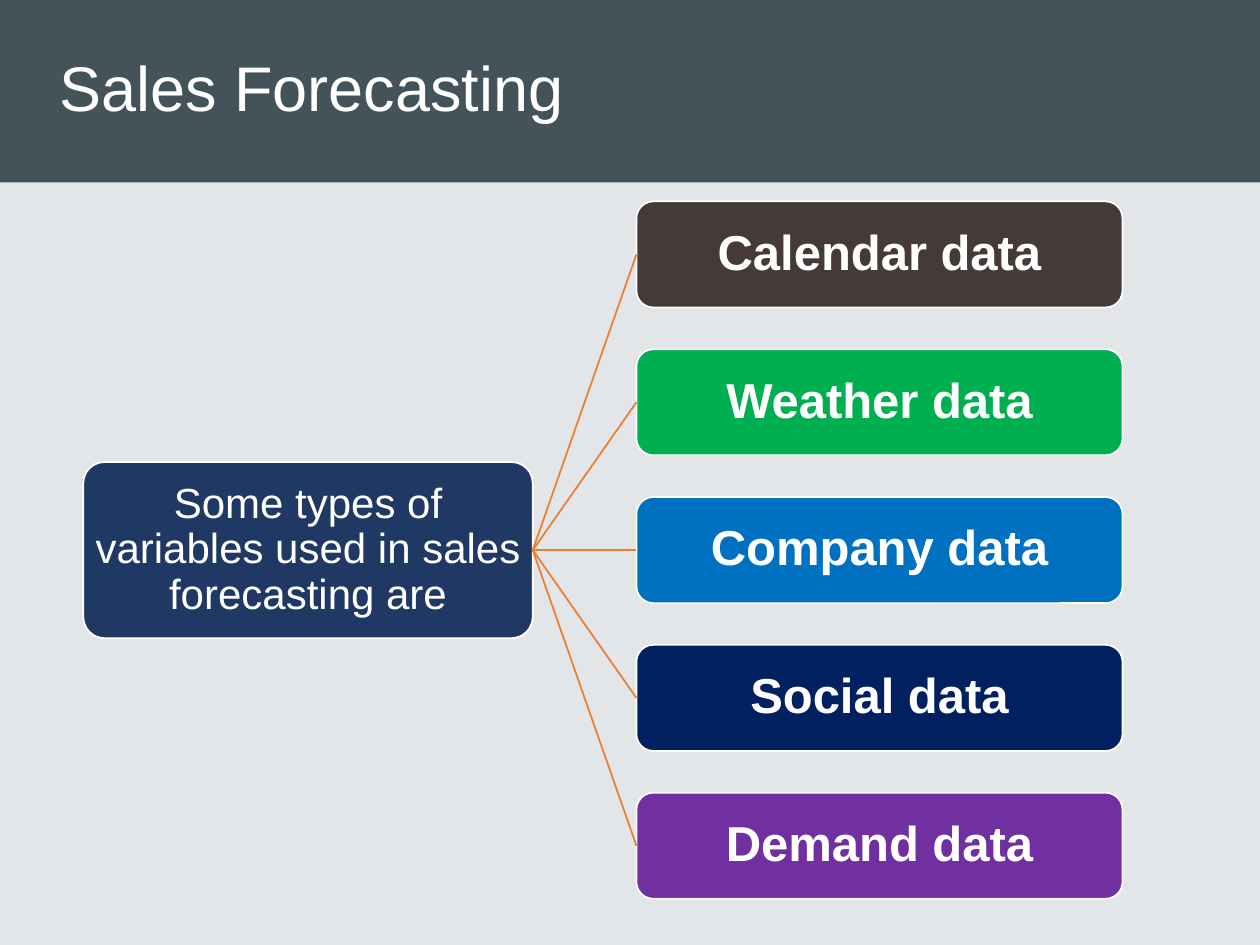
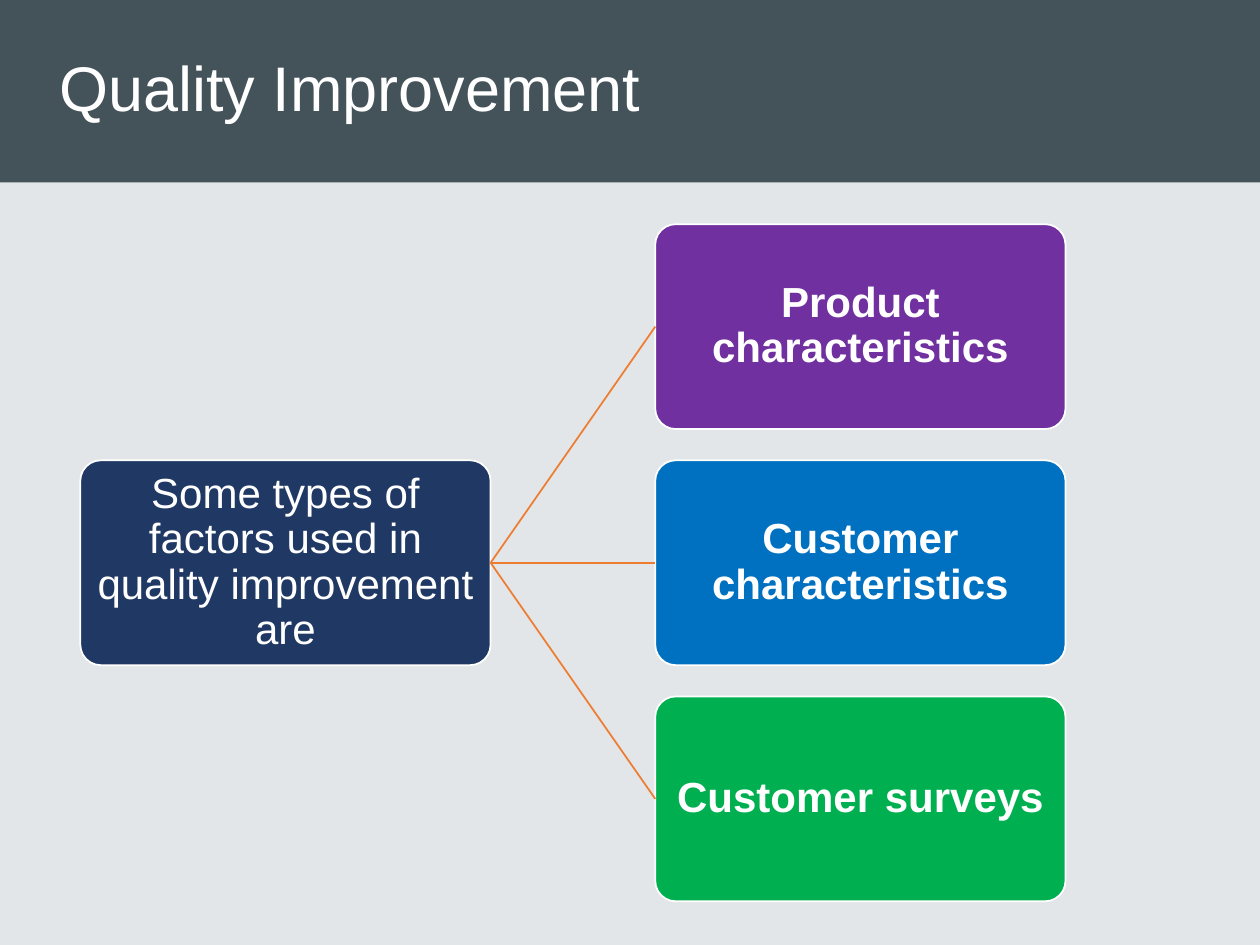
from dataclasses import dataclass

from lxml import etree
from pptx import Presentation
from pptx.dml.color import RGBColor
from pptx.enum.shapes import MSO_CONNECTOR, MSO_SHAPE
from pptx.enum.text import MSO_ANCHOR, MSO_AUTO_SIZE, PP_ALIGN
from pptx.oxml.ns import qn
from pptx.shapes.autoshape import Shape
from pptx.slide import Slide, SlideLayout
from pptx.util import Cm, Pt

RECTANGLE = MSO_SHAPE.RECTANGLE
ROUNDED = MSO_SHAPE.ROUNDED_RECTANGLE
STRAIGHT = MSO_CONNECTOR.STRAIGHT
MIDDLE = MSO_ANCHOR.MIDDLE
NO_FIT = MSO_AUTO_SIZE.NONE
CENTER = PP_ALIGN.CENTER
LEFT = PP_ALIGN.LEFT

FONT = "Arial"
WHITE = "FFFFFF"
BACKGROUND = "E2E6E8"
BAND = "44525A"
NAVY = "203864"
ORANGE = "ED7D31"
BROWN = "453A38"
GREEN = "00B050"
BLUE = "0070C0"
DARK_BLUE = "002060"
PURPLE = "7030A0"

SLIDE_WIDTH = 25.4
SLIDE_HEIGHT = 19.05
BAND_HEIGHT = 3.68
TITLE_LAYOUT = 5
LEFT_SIDE, RIGHT_SIDE = 1, 3


@dataclass(frozen=True)
class BoxStyle:
    left: float
    width: float
    height: float
    corner: float
    text_size: int
    bold: bool


@dataclass(frozen=True)
class Branch:
    text: str
    color: str


@dataclass(frozen=True)
class Hierarchy:
    title: str
    root_text: str
    root_style: BoxStyle
    branch_style: BoxStyle
    first_top: float
    pitch: float
    branches: tuple[Branch, ...]


HIERARCHIES = (
    Hierarchy(
        title="Sales Forecasting",
        root_text="Some types of variables used in sales forecasting are",
        root_style=BoxStyle(1.68, 9.06, 3.55, 0.12, 24, False),
        branch_style=BoxStyle(12.83, 9.8, 2.14, 0.16, 28, True),
        first_top=4.06,
        pitch=2.98,
        branches=(
            Branch("Calendar data", BROWN),
            Branch("Weather data", GREEN),
            Branch("Company data", BLUE),
            Branch("Social data", DARK_BLUE),
            Branch("Demand data", PURPLE),
        ),
    ),
    Hierarchy(
        title="Quality Improvement",
        root_text="Some types of factors used in quality improvement are",
        root_style=BoxStyle(1.62, 8.27, 4.13, 0.1, 24, False),
        branch_style=BoxStyle(13.21, 8.27, 4.13, 0.1, 24, True),
        first_top=4.52,
        pitch=4.76,
        branches=(
            Branch("Product characteristics", PURPLE),
            Branch("Customer characteristics", BLUE),
            Branch("Customer surveys", GREEN),
        ),
    ),
)


def rgb(color: str) -> RGBColor:
    return RGBColor.from_string(color)


def set_attributes(target: object, values: dict) -> None:
    for name, value in values.items():
        setattr(target, name, value)


def write_text(shape: Shape, text: str, size: int, bold: bool, alignment: PP_ALIGN) -> None:
    frame = shape.text_frame
    frame.text = text
    set_attributes(frame, {"word_wrap": True, "auto_size": NO_FIT, "vertical_anchor": MIDDLE})
    paragraph = frame.paragraphs[0]
    set_attributes(paragraph, {"alignment": alignment, "line_spacing": 0.9, "space_before": Pt(0)})
    set_attributes(paragraph.font, {"name": FONT, "size": Pt(size), "bold": bold})
    paragraph.font.color.rgb = rgb(WHITE)


def add_box(slide: Slide, style: BoxStyle, top: float, text: str, color: str) -> Shape:
    box = slide.shapes.add_shape(ROUNDED, Cm(style.left), Cm(top), Cm(style.width), Cm(style.height))
    box.adjustments[0] = style.corner
    box.shadow.inherit = False
    box.fill.solid()
    box.fill.fore_color.rgb = rgb(color)
    box.line.color.rgb = rgb(WHITE)
    box.line.width = Pt(1)
    write_text(box, text, style.text_size, style.bold, CENTER)
    sides = ("left", "top", "right", "bottom")
    set_attributes(box.text_frame, {f"margin_{side}": Cm(0.05) for side in sides})
    return box


def join_boxes(slide: Slide, root: Shape, branch: Shape) -> None:
    connector = slide.shapes.add_connector(STRAIGHT, 0, 0, 0, 0)
    connector.begin_connect(root, RIGHT_SIDE)
    connector.end_connect(branch, LEFT_SIDE)
    connector.line.color.rgb = rgb(ORANGE)
    connector.line.width = Pt(1)
    etree.SubElement(connector._element.spPr, qn("a:effectLst"))


def add_band_to_layout(layout: SlideLayout, slide: Slide) -> None:
    layout.background.fill.solid()
    layout.background.fill.fore_color.rgb = rgb(BACKGROUND)
    band = slide.shapes.add_shape(RECTANGLE, 0, 0, Cm(SLIDE_WIDTH), Cm(BAND_HEIGHT))
    band.shadow.inherit = False
    band.fill.solid()
    band.fill.fore_color.rgb = rgb(BAND)
    band.line.fill.background()
    band._element.nvSpPr.cNvPr.set("id", "20")
    layout.shapes._spTree.insert(2, band._element)


def format_title(slide: Slide, text: str) -> None:
    title = slide.shapes.title
    place = {"left": Cm(0.94), "top": Cm(0), "width": Cm(23.29), "height": Cm(BAND_HEIGHT)}
    set_attributes(title, place)
    write_text(title, text, 36, False, LEFT)


def draw_hierarchy(slide: Slide, hierarchy: Hierarchy) -> None:
    format_title(slide, hierarchy.title)
    root_style, branch_style = hierarchy.root_style, hierarchy.branch_style
    stack_height = hierarchy.pitch * (len(hierarchy.branches) - 1) + branch_style.height
    root_top = hierarchy.first_top + (stack_height - root_style.height) / 2
    root = add_box(slide, root_style, root_top, hierarchy.root_text, NAVY)
    for index, branch in enumerate(hierarchy.branches):
        top = hierarchy.first_top + index * hierarchy.pitch
        box = add_box(slide, branch_style, top, branch.text, branch.color)
        join_boxes(slide, root, box)


def main() -> None:
    presentation = Presentation()
    presentation.slide_width = Cm(SLIDE_WIDTH)
    presentation.slide_height = Cm(SLIDE_HEIGHT)
    layout = presentation.slide_layouts[TITLE_LAYOUT]
    slides = [presentation.slides.add_slide(layout) for _ in HIERARCHIES]
    add_band_to_layout(layout, slides[0])
    for slide, hierarchy in zip(slides, HIERARCHIES):
        draw_hierarchy(slide, hierarchy)
    presentation.save("out.pptx")


if __name__ == "__main__":
    main()
